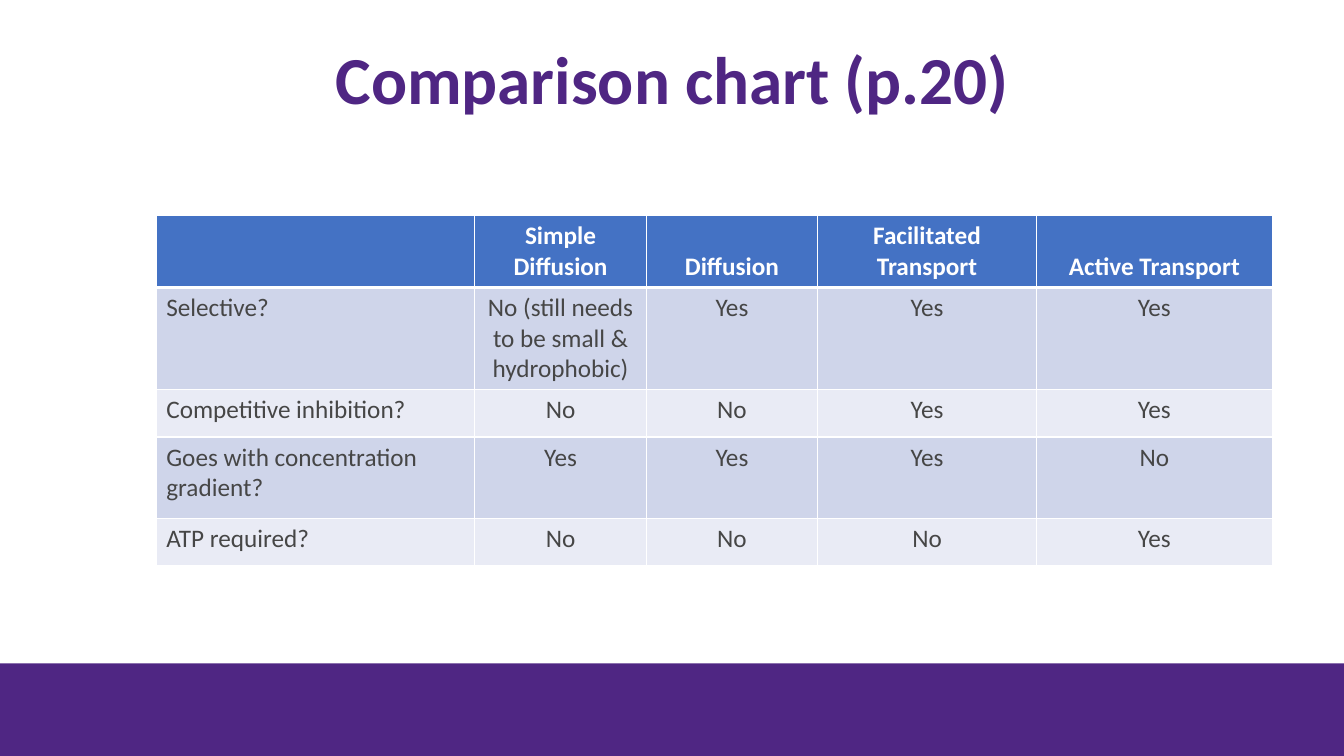
import pptx
import pptx.util
import pptx.oxml
import pptx.oxml.ns
import pptx.dml.color
import pptx.enum.text
import pptx.enum.shapes

WIDE, HIGH = 13.33, 7.5
FONT = "Calibri"
HUES = {
    "brand": "4F2683",
    "head": "4472C4",
    "odd": "CFD5EA",
    "even": "E9EBF5",
    "text": "464646",
    "white": "FFFFFF",
}
COLS = [3.16, 1.7, 1.7, 2.17, 2.34]
ROWS = [0.7, 1.01, 0.47, 0.81, 0.47]
DATA = [
    ["", "Simple Diffusion", "Diffusion", "Facilitated Transport", "Active Transport"],
    ["Selective?", "No (still needs to be small & hydrophobic)", "Yes", "Yes", "Yes"],
    ["Competitive inhibition?", "No", "No", "Yes", "Yes"],
    ["Goes with concentration gradient?", "Yes", "Yes", "Yes", "No"],
    ["ATP required?", "No", "No", "No", "Yes"],
]
ALIGN = pptx.enum.text.PP_ALIGN
ANCHOR = pptx.enum.text.MSO_ANCHOR


def color(name):
    return pptx.dml.color.RGBColor.from_string(HUES[name])


def paint(part, name):
    part.fill.solid()
    part.fill.fore_color.rgb = color(name)


def style(para, size, hue, bold, align):
    para.alignment = align
    for run in para.runs:
        run.font.name = FONT
        run.font.size = pptx.util.Pt(size)
        run.font.bold = bold
        run.font.color.rgb = color(hue)


def border(cell, widths):
    # Edges come before the fill in the cell properties
    props = cell._tc.get_or_add_tcPr()
    for side, width in zip("LRTB", widths):
        props.append(pptx.oxml.parse_xml(
            f'<a:ln{side} {pptx.oxml.ns.nsdecls("a")} w="{pptx.util.Pt(width)}">'
            f'<a:solidFill><a:srgbClr val="{HUES["white"]}"/></a:solidFill>'
            f'</a:ln{side}>'))


def add_title(slide, box):
    title = slide.shapes.title
    title.left, title.top, title.width, title.height = map(pptx.util.Inches, box)
    frame = title.text_frame
    frame.text = "Comparison chart (p.20)"
    frame.word_wrap = True
    frame.vertical_anchor = ANCHOR.MIDDLE
    para = frame.paragraphs[0]
    para.line_spacing = 0.9
    style(para, 48, "brand", True, ALIGN.CENTER)


def add_band(slide, box):
    band = slide.shapes.add_shape(
        pptx.enum.shapes.MSO_SHAPE.RECTANGLE, *map(pptx.util.Inches, box))
    band.shadow.inherit = False
    paint(band, "brand")
    band.line.fill.background()


def add_grid(slide, box):
    grid = slide.shapes.add_table(
        len(ROWS), len(COLS), *map(pptx.util.Inches, box)).table
    for col, width in zip(grid.columns, COLS):
        col.width = pptx.util.Inches(width)
    for row, height in zip(grid.rows, ROWS):
        row.height = pptx.util.Inches(height)
    for r, words in enumerate(DATA):
        head = r == 0
        for c, word in enumerate(words):
            cell = grid.cell(r, c)
            # A thick rule parts the header from the body
            border(cell, [1, 1, 3 if r == 1 else 1, 3 if head else 1])
            paint(cell, "head" if head else "odd" if r % 2 else "even")
            cell.vertical_anchor = ANCHOR.BOTTOM if head else ANCHOR.TOP
            cell.text_frame.text = word
            style(cell.text_frame.paragraphs[0], 18, "white" if head else "text",
                  head, ALIGN.CENTER if head or c else ALIGN.LEFT)


def main():
    deck = pptx.Presentation()
    deck.slide_width = pptx.util.Inches(WIDE)
    deck.slide_height = pptx.util.Inches(HIGH)
    slide = deck.slides.add_slide(deck.slide_layouts.get_by_name("Title Only"))
    paint(slide.background, "white")
    add_title(slide, (0.92, 0.22, 11.5, 1.2))
    add_band(slide, (0, 6.58, WIDE, HIGH - 6.58))
    add_grid(slide, (1.55, 2.14, sum(COLS), sum(ROWS)))
    deck.save("out.pptx")


if __name__ == "__main__":
    main()
